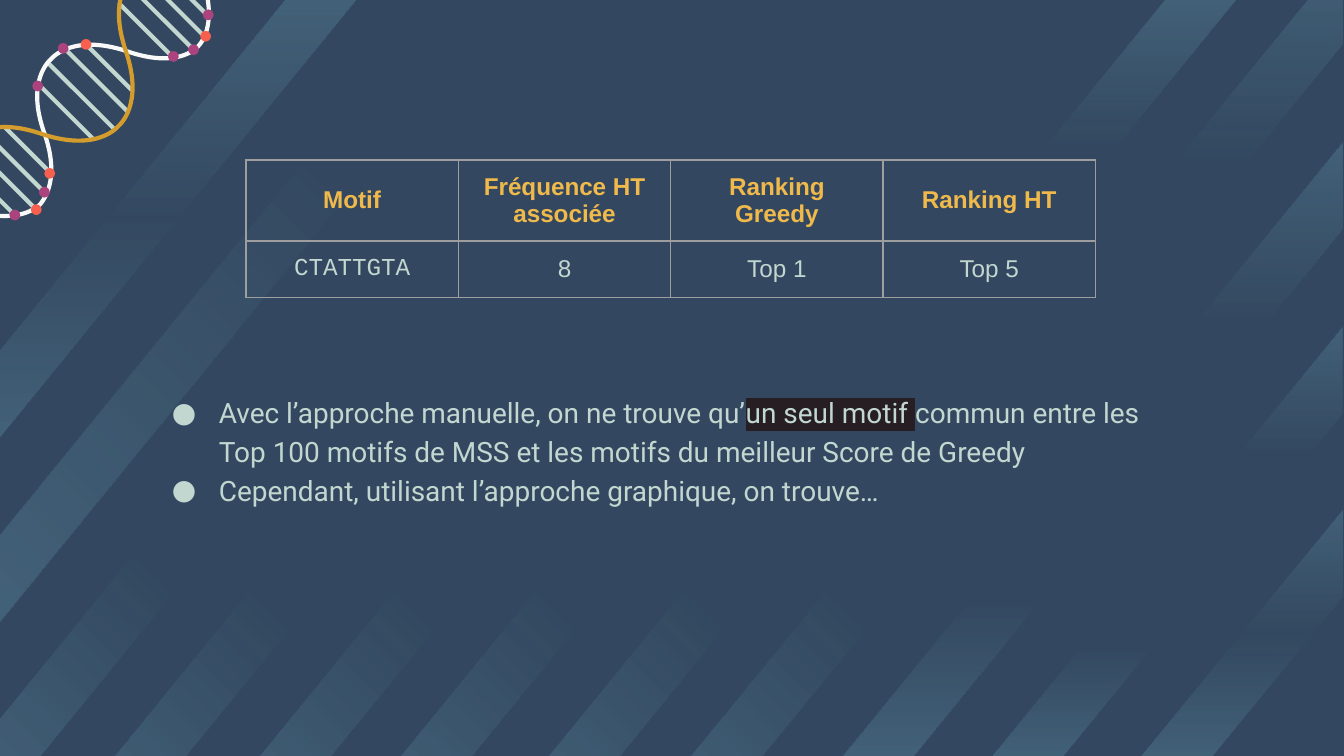
from lxml import etree
from pptx import Presentation
from pptx.dml.color import RGBColor
from pptx.enum.shapes import MSO_CONNECTOR, MSO_SHAPE
from pptx.enum.text import MSO_ANCHOR, PP_ALIGN
from pptx.oxml import parse_xml
from pptx.oxml.ns import nsdecls, qn
from pptx.util import Emu, Pt

LINE, OVAL = MSO_CONNECTOR.STRAIGHT, MSO_SHAPE.OVAL
MID, CENTER = MSO_ANCHOR.MIDDLE, PP_ALIGN.CENTER
SCALE = 9144  # 100 px to the inch
SLOPE = 1.228  # height over width of every stripe

COLORS = {
    "back": "334860", "stripe": "87D2E4", "rung": "C2D7D0",
    "white": "F9F9F9", "gold": "D39C2C", "plum": "AA437E", "coral": "F75F4F",
    "head": "EFB94B", "text": "C2D7D0", "grid": "9E9E9E", "mark": "261E23",
}

# Stripes: corner x, corner y, inner reach, direction, angle, (position, alpha) stops
FADE = [(0, 18), (84, 0), (100, 0)]
BOTH = [(0, 18), (29, 0), (75, 0), (100, 18)]
EVEN = [(0, 18), (50, 0), (100, 18)]
STRIPES = [
    (999, 563, 97, -1, 90, EVEN),
    (766, 0, 101, 1, 90, [(0, 18), (58, 0), (100, 0)]),
    (999, 152, 97, -1, 90, [(0, 18), (82, 0), (100, 0)]),
    (999, 563, 208, -1, 90, BOTH),
    (999, 563, 320, -1, 90, BOTH),
    *[(x, 438, 101, 1, 315, FADE) for x in (515, 86, 194, 299, 409)],
    (0, 411, 101, 1, 315, FADE),
    (0, 0, 212, 1, 90, EVEN),
    (0, 0, 324, 1, 315, [(0, 18), (68, 0), (100, 0)]),
]

# Strands: a start point, then three points for each curve
WHITE = [
    (-79, 161), (-78, 160), (-64, 142), (-24, 156), (11, 167), (26, 156), (30, 152),
    (33, 148), (45, 133), (33, 99), (19, 60), (37, 45), (38, 44),
    (39, 43), (54, 25), (94, 38), (128, 50), (143, 39), (147, 35),
    (151, 31), (162, 16), (150, -18), (136, -57), (155, -73), (156, -73),
]
GOLD = [
    (-29, 211), (-28, 210), (-10, 195), (-24, 155), (-35, 121), (-24, 106), (-20, 102),
    (-17, 99), (-2, 88), (32, 100), (72, 113), (87, 95), (88, 94),
    (89, 93), (107, 78), (94, 39), (82, 4), (93, -11), (97, -15),
    (101, -19), (116, -30), (149, -17), (190, -4), (205, -23), (205, -24),
]
# Rungs run at 45 degrees: left, top, span
RUNGS = [
    (37, 48, 48), (120, -23, 34), (105, -20, 47), (95, -12, 49), (89, 3, 41),
    (4, 95, 33), (-12, 98, 46), (-23, 106, 49), (-28, 121, 40),
    (65, 34, 33), (49, 37, 46), (29, 63, 40),
]
DOTS = {
    "coral": [(23, 152), (33, 125), (60, 29), (149, 23)],
    "plum": [(7, 156), (29, 139), (24, 60), (43, 32), (125, 38), (140, 33), (151, 7)],
}

ROWS = [
    ["Motif", "Fréquence HT associée", "Ranking Greedy", "Ranking HT"],
    ["CTATTGTA", "8", "Top 1", "Top 5"],
]
# Each point is a list of (text, marked)
POINTS = [
    [("Avec l’approche manuelle, on ne trouve qu’", False),
     ("un seul motif ", True),
     ("commun entre les Top 100 motifs de MSS et les motifs du meilleur Score de Greedy",
      False)],
    [("Cependant, utilisant l’approche graphique, on trouve…", False)],
]


def px(n):
    return Emu(round(n * SCALE))


def rgb(name):
    return RGBColor.from_string(COLORS[name])


def style(font, face, size, color, bold=False):
    font.name, font.size, font.bold = face, Pt(size), bold
    font.color.rgb = rgb(color)


def outline(slide, dots, close):
    pen = slide.shapes.build_freeform(*dots[0], scale=SCALE)
    pen.add_line_segments(dots[1:], close=close)
    shape = pen.convert_to_shape()
    shape.shadow.inherit = False
    return shape


def stripe(slide, x, y, reach, sign, angle, stops):
    drop = reach * SLOPE
    ends = [(reach, 0), (0, drop), (0, drop + 65), (reach + 53, 0)]
    shape = outline(slide, [(x + sign * a, round(y + sign * b)) for a, b in ends], True)
    shape.line.fill.background()
    marks = "".join(
        f'<a:gs pos="{pos * 1000}"><a:srgbClr val="{COLORS["stripe"]}">'
        f'<a:alpha val="{alpha * 1000}"/></a:srgbClr></a:gs>' for pos, alpha in stops)
    geom = shape._element.spPr.find(qn("a:custGeom"))
    geom.addnext(parse_xml(
        f'<a:gradFill {nsdecls("a")} rotWithShape="1"><a:gsLst>{marks}</a:gsLst>'
        f'<a:lin ang="{angle * 60000}" scaled="0"/></a:gradFill>'))


def strand(slide, dots, color):
    shape = outline(slide, dots, False)
    shape.fill.background()
    shape.line.color.rgb = rgb(color)
    shape.line.width = Pt(2.25)
    # Turn every three straight steps into one curve
    steps = list(shape._element.iter(qn("a:lnTo")))
    for i in range(0, len(steps), 3):
        curve = etree.Element(qn("a:cubicBezTo"))
        steps[i].addprevious(curve)
        for step in steps[i:i + 3]:
            curve.append(step[0])
            step.getparent().remove(step)


def rung(slide, x, y, span):
    bar = slide.shapes.add_connector(LINE, px(x), px(y), px(x + span), px(y + span))
    bar.line.color.rgb = rgb("rung")
    bar.line.width = Pt(2.25)
    bar.line._get_or_add_ln().set("cap", "rnd")
    etree.SubElement(bar._element.spPr, qn("a:effectLst"))


def dot(slide, x, y, color):
    shape = slide.shapes.add_shape(OVAL, px(x), px(y), px(8), px(8))
    shape.shadow.inherit = False
    shape.fill.solid()
    shape.fill.fore_color.rgb = rgb(color)
    shape.line.fill.background()


def helix(slide):
    rung(slide, *RUNGS[0])
    strand(slide, WHITE, "white")
    for item in RUNGS[1:]:
        rung(slide, *item)
    strand(slide, GOLD, "gold")
    for color, spots in DOTS.items():
        for x, y in spots:
            dot(slide, x, y, color)


def border(cell):
    props = cell._tc.get_or_add_tcPr()
    for side in "LRTB":
        props.append(parse_xml(
            f'<a:ln{side} {nsdecls("a")} w="{Pt(0.75)}"><a:solidFill>'
            f'<a:srgbClr val="{COLORS["grid"]}"/></a:solidFill></a:ln{side}>'))


def table(slide):
    grid = slide.shapes.add_table(2, 4, px(183), px(119), px(632), px(84)).table
    grid.first_row = grid.horz_banding = False
    for i, row in enumerate(ROWS):
        for j, text in enumerate(row):
            cell = grid.cell(i, j)
            border(cell)
            cell.fill.background()
            cell.vertical_anchor = MID
            cell.margin_left = cell.margin_right = px(10)
            cell.margin_top = cell.margin_bottom = px(10)
            cell.text_frame.text = text
            para = cell.text_frame.paragraphs[0]
            para.alignment = CENTER
            face = "Courier New" if (i, j) == (1, 0) else "Arial"
            style(para.runs[0].font, face, 13, "text" if i else "head", i == 0)


def bullet(para):
    props = para._p.get_or_add_pPr()
    props.set("marL", str(px(50)))
    props.set("indent", str(px(-35)))
    color = etree.SubElement(props, qn("a:buClr"))
    etree.SubElement(color, qn("a:srgbClr"), val=COLORS["text"])
    etree.SubElement(props, qn("a:buFont"), typeface="Roboto")
    etree.SubElement(props, qn("a:buChar"), char="●")


def mark(run):
    fill = run._r.get_or_add_rPr().find(qn("a:solidFill"))
    fill.addnext(parse_xml(
        f'<a:highlight {nsdecls("a")}><a:srgbClr val="{COLORS["mark"]}"/></a:highlight>'))


def notes(slide):
    frame = slide.shapes.add_textbox(px(103), px(225), px(791), px(218)).text_frame
    frame.word_wrap = True
    frame.vertical_anchor = MID
    frame.margin_left = frame.margin_right = px(10)
    frame.margin_top = frame.margin_bottom = px(10)
    for i, parts in enumerate(POINTS):
        para = frame.add_paragraph() if i else frame.paragraphs[0]
        bullet(para)
        para.line_spacing = 1.15
        for text, marked in parts:
            run = para.add_run()
            run.text = text
            style(run.font, "Roboto", 15, "text")
            if marked:
                mark(run)


def main():
    prs = Presentation()
    prs.slide_width = px(1000)
    prs.slide_height = px(562.5)
    slide = prs.slides.add_slide(prs.slide_layouts[6])
    slide.background.fill.solid()
    slide.background.fill.fore_color.rgb = rgb("back")
    for item in STRIPES:
        stripe(slide, *item)
    helix(slide)
    table(slide)
    notes(slide)
    prs.save("out.pptx")


if __name__ == "__main__":
    main()
